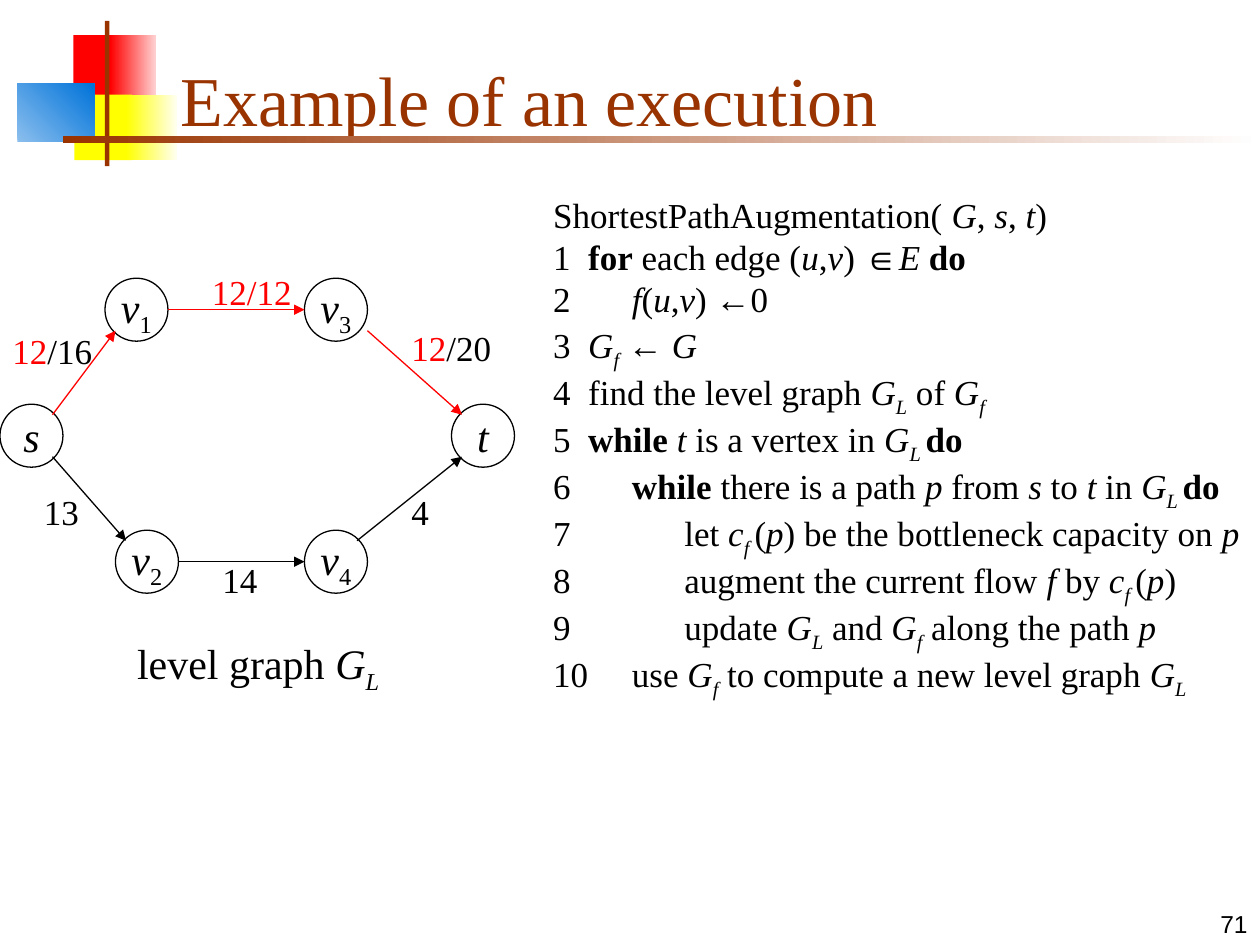
from dataclasses import dataclass

from lxml import etree
from pptx import Presentation
from pptx.dml.color import RGBColor
from pptx.enum import shapes, text
from pptx.oxml import ns
from pptx.util import Pt


@dataclass(frozen=True)
class Theme:
    """Colours, fonts and type sizes of the slide."""
    black: str = "000000"
    red: str = "FF0000"
    pale_red: str = "FFD1D1"
    yellow: str = "FFFF00"
    pale_yellow: str = "FFFFF0"
    blue: str = "0073D9"
    pale_blue: str = "8BBFEE"
    brown: str = "993300"
    white: str = "FFFFFF"
    serif: str = "Times New Roman"
    sans: str = "Arial"
    title: int = 40
    node: int = 24
    body: int = 20
    number: int = 14
    line: float = 0.75


THEME = Theme()
G = ("G", "i")
G_F = (G, ("f", "i_"))
G_L = (G, ("L", "i_"))
C_F_P = (("c", "i"), ("f ", "i_"), ("(", ""), ("p", "i"))

PSEUDOCODE = [
    (None, [("ShortestPathAugmentation( ", ""), G, (", ", ""), ("s", "i"), (",", ""),
            (" t", "i"), (")", "")]),
    (1, [("1\t", ""), ("for", "b"), (" each edge (", ""), ("u", "i"), (",", ""),
         ("v", "i"), (") ∈", ""), ("E ", "i"), ("do", "b")]),
    (2, [("2\t", ""), ("f", "i"), ("(", ""), ("u", "i"), (",", ""), ("v", "i"),
         (") ←0", "")]),
    (1, [("3\t", ""), *G_F, (" ← ", ""), G]),
    (1, [("4\tfind the level graph ", ""), *G_L, (" of ", ""), *G_F]),
    (1, [("5\t", ""), ("while ", "b"), ("t", "i"), (" is a vertex in ", ""), *G_L,
         (" ", "i_"), ("do", "b")]),
    (2, [("6\t", ""), ("while", "b"), (" there is a path ", ""), ("p", "i"),
         (" from ", ""), ("s ", "i"), ("to ", ""), ("t", "i"), (" in ", ""), *G_L,
         (" ", "i_"), ("do", "b")]),
    (3, [("7\tlet ", ""), *C_F_P, (") be the bottleneck capacity on ", ""), ("p", "i")]),
    (3, [("8\taugment the current flow ", ""), ("f", "i"), (" by ", ""), *C_F_P,
         (")", "")]),
    (3, [("9\tupdate ", ""), *G_L, (" and ", ""), *G_F, (" along the path ", ""),
         ("p", "i")]),
    (2, [("10\tuse ", ""), *G_F, (" to compute a new level graph ", ""), *G_L]),
]
TAB_STOPS = {1: 20, 2: 45, 3: 75}

NODES = {
    "s": (0, 80, [("s", "i")]),
    "v1": (60, 8, [("v", "i"), ("1", "_")]),
    "v2": (66, 152, [("v", "i"), ("2", "_")]),
    "v3": (174, 8, [("v", "i"), ("3", "_")]),
    "v4": (174, 152, [("v", "i"), ("4", "_")]),
    "t": (258, 80, [("t", "i")]),
}
NODE_SIZE = 36
PORTS = {"left": (0, 18), "right": (36, 18), "upper left": (6, 6), "lower left": (6, 30),
         "upper right": (30, 6), "lower right": (30, 30), "outer right": (36, 30)}
EDGES = [
    ("s", "upper right", "v1", "lower left", THEME.red),
    ("v1", "right", "v3", "left", THEME.red),
    ("v3", "outer right", "t", "upper left", THEME.red),
    ("s", "lower right", "v2", "upper left", THEME.black),
    ("v2", "right", "v4", "left", THEME.black),
    ("v4", "upper right", "t", "lower left", THEME.black),
]
EDGE_LABELS = [
    (0, 34, 70, "12", "/16"),
    (114, 0, 60, "12/12", ""),
    (18, 126, 35, "", "13"),
    (228, 32, 60, "12", "/20"),
    (228, 126, 25, "", "4"),
    (120, 164.5, 39, "", "14"),
]


def add_run(paragraph, words, size, style="", color=THEME.black, font=THEME.serif):
    """Add a run; style letters mean i italic, b bold and _ subscript."""
    run = paragraph.add_run()
    run.text = words
    run.font.name = font
    run.font.size = Pt(size)
    run.font.color.rgb = RGBColor.from_string(color)
    run.font.italic = "i" in style
    run.font.bold = "b" in style
    if "_" in style:
        run.font._element.set("baseline", "-25000")


def add_text_box(slide, box, wrap=True):
    """Add an empty text box and return its text frame."""
    frame = slide.shapes.add_textbox(*map(Pt, box)).text_frame
    frame.word_wrap = wrap
    return frame


def add_block(slide, box, start, end=None, angle=0):
    """Add a rectangle with a solid fill or a gradient from start to end."""
    shape = slide.shapes.add_shape(shapes.MSO_SHAPE.RECTANGLE, *map(Pt, box))
    shape.shadow.inherit = False
    shape.line.fill.background()
    if end is None:
        shape.fill.solid()
        shape.fill.fore_color.rgb = RGBColor.from_string(start)
        return
    shape.fill.gradient()
    shape.fill.gradient_angle = angle
    for stop, color in zip(shape.fill.gradient_stops, (start, end)):
        stop.color.rgb = RGBColor.from_string(color)


def add_decoration(slide, left, top):
    """Place the coloured blocks and the two bars behind the title."""
    for x, y, width, height, *fill in [
        (32, 8, 25, 37.5, THEME.red),
        (53, 8, 26, 37.5, THEME.red, THEME.pale_red),
        (32.5, 42, 33, 37.5, THEME.yellow),
        (62, 42, 29, 37.5, THEME.yellow, THEME.pale_yellow),
        (0, 36, 44, 33, THEME.pale_blue, THEME.blue, 45),
        (50, 0, 2.5, 83, THEME.brown),
        (26, 66, 684, 3.75, THEME.brown, THEME.white),
    ]:
        add_block(slide, (left + x, top + y, width, height), *fill)


def add_title(slide, box, words):
    """Move and format the title placeholder."""
    title = slide.shapes.title
    title.left, title.top, title.width, title.height = map(Pt, box)
    frame = title.text_frame
    frame.auto_size = text.MSO_AUTO_SIZE.NONE
    frame.vertical_anchor = text.MSO_ANCHOR.BOTTOM
    frame.paragraphs[0].alignment = text.PP_ALIGN.LEFT
    add_run(frame.paragraphs[0], words, THEME.title, color=THEME.brown)


def add_node(slide, left, top, label):
    """Add a circled vertex with its name."""
    shape = slide.shapes.add_shape(
        shapes.MSO_SHAPE.OVAL, Pt(left), Pt(top), Pt(NODE_SIZE), Pt(NODE_SIZE))
    shape.shadow.inherit = False
    shape.fill.background()
    shape.line.color.rgb = RGBColor.from_string(THEME.black)
    shape.line.width = Pt(THEME.line)
    frame = shape.text_frame
    frame.word_wrap = False
    frame.vertical_anchor = text.MSO_ANCHOR.MIDDLE
    frame.paragraphs[0].alignment = text.PP_ALIGN.CENTER
    for words, style in label:
        add_run(frame.paragraphs[0], words, THEME.node, style)


def add_arrow(slide, start, end, color):
    """Add a straight arrow between two points."""
    arrow = slide.shapes.add_connector(
        shapes.MSO_CONNECTOR.STRAIGHT, *map(Pt, (*start, *end)))
    arrow.line.color.rgb = RGBColor.from_string(color)
    arrow.line.width = Pt(THEME.line)
    etree.SubElement(arrow.line._get_or_add_ln(), ns.qn("a:tailEnd"), type="triangle")
    etree.SubElement(arrow._element.spPr, ns.qn("a:effectLst"))


def add_level_graph(slide, left, top):
    """Place the vertices, edges, edge labels and caption of the graph."""
    def port(node, side):
        """Return the point where an edge meets a vertex."""
        x, y, _ = NODES[node]
        return left + x + PORTS[side][0], top + y + PORTS[side][1]

    for x, y, label in NODES.values():
        add_node(slide, left + x, top + y, label)
    for source, source_side, target, target_side, color in EDGES:
        add_arrow(slide, port(source, source_side), port(target, target_side), color)
    for x, y, width, flow, capacity in EDGE_LABELS:
        frame = add_text_box(slide, (left + x, top + y, width, 32), wrap=False)
        for words, color in ((flow, THEME.red), (capacity, THEME.black)):
            if words:
                add_run(frame.paragraphs[0], words, THEME.body, color=color)
    caption = add_text_box(slide, (left + 71, top + 210, 153, 40), wrap=False).paragraphs[0]
    caption.alignment = text.PP_ALIGN.CENTER
    for words, style in (("level graph ", ""), *G_L):
        add_run(caption, words, THEME.node, style)


def add_pseudocode(slide, box):
    """Write the algorithm, one paragraph per numbered line."""
    frame = add_text_box(slide, box)
    for index, (level, runs) in enumerate(PSEUDOCODE):
        paragraph = frame.add_paragraph() if index else frame.paragraphs[0]
        paragraph.line_spacing = 0.8
        paragraph.space_before = Pt(5 if index else 0)
        if level:
            tabs = etree.SubElement(paragraph._p.get_or_add_pPr(), ns.qn("a:tabLst"))
            etree.SubElement(tabs, ns.qn("a:tab"), pos=str(Pt(TAB_STOPS[level])), algn="l")
        for words, style in runs:
            add_run(paragraph, words, THEME.body, style)


def add_page_number(slide, box, number):
    """Write the page number at the bottom right."""
    frame = add_text_box(slide, box)
    frame.vertical_anchor = text.MSO_ANCHOR.BOTTOM
    frame.paragraphs[0].alignment = text.PP_ALIGN.RIGHT
    add_run(frame.paragraphs[0], number, THEME.number, font=THEME.sans)


def main():
    """Build the slide and save it."""
    presentation = Presentation()
    presentation.slide_width, presentation.slide_height = Pt(720), Pt(540)
    slide = presentation.slides.add_slide(presentation.slide_layouts[5])
    add_decoration(slide, 10, 12)
    add_title(slide, (96, 18, 613.5, 66), "Example of an execution")
    add_level_graph(slide, 0, 151)
    add_pseudocode(slide, (309, 111.5, 411, 272))
    add_page_number(slide, (570, 504, 150, 36), "71")
    presentation.save("out.pptx")


if __name__ == "__main__":
    main()
